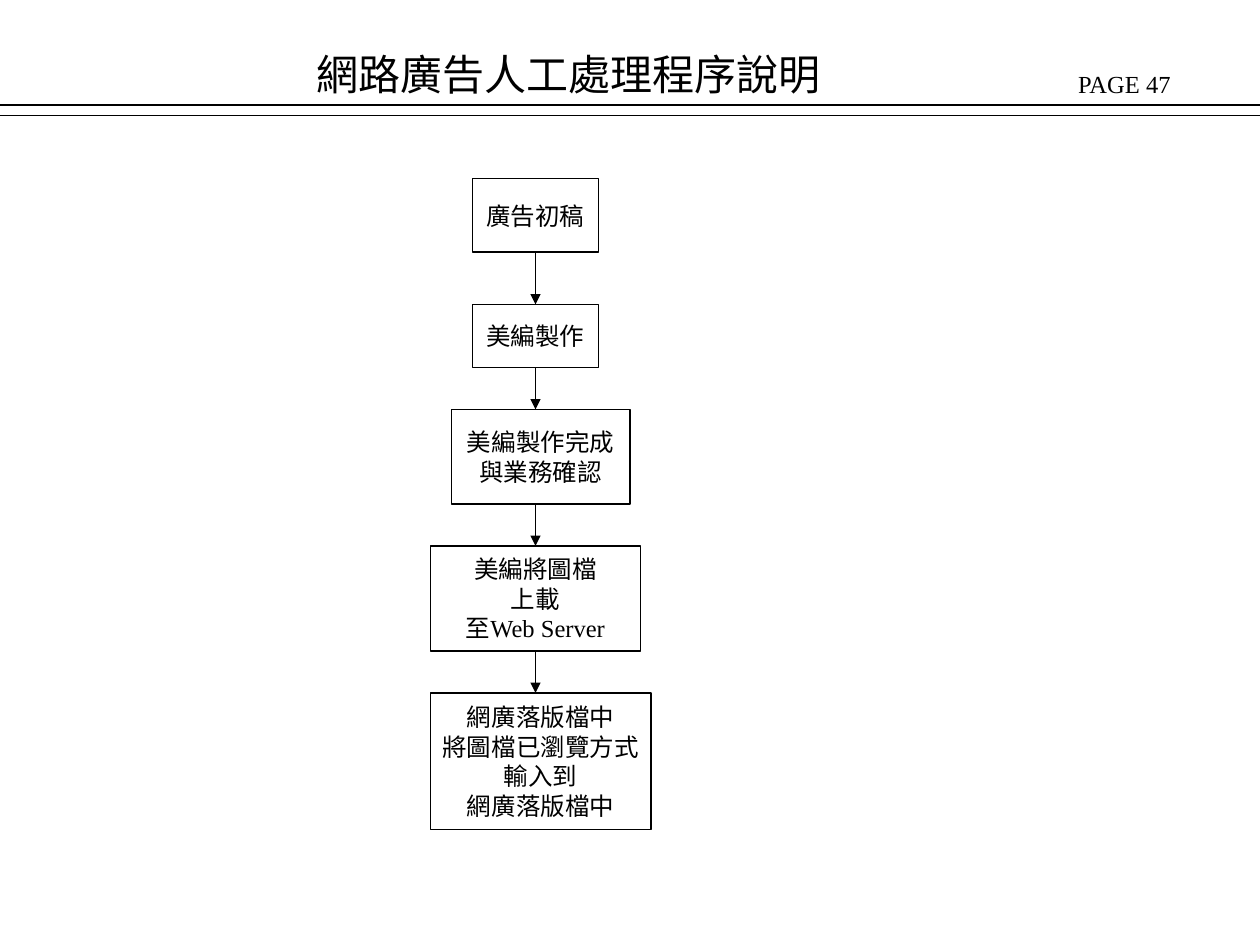
from itertools import pairwise

from lxml import etree
from pptx import Presentation
from pptx.dml.color import RGBColor
from pptx.enum import shapes, text
from pptx.oxml import ns
from pptx.util import Pt

BLACK = RGBColor(0, 0, 0)
FONT = "Times New Roman"
SLIDE_WIDTH, SLIDE_HEIGHT = 720, 540
FLOW_X = 306  # the arrows run down this line
TOP, BOTTOM = 0, 2  # connection sites of a rectangle

# left, top, width, height, lines of text
STEPS = [
    (270, 102, 72, 42, ["廣告初稿"]),
    (270, 174, 72, 36, ["美編製作"]),
    (258, 234, 102, 54, ["美編製作完成", "與業務確認"]),
    (246, 312, 120, 60, ["美編將圖檔", "上載", "至Web Server"]),
    (246, 396, 126, 78, ["網廣落版檔中", "將圖檔已瀏覽方式", "輸入到", "網廣落版檔中"]),
]


def write(frame, lines, size, align=text.PP_ALIGN.LEFT):
    frame.text = "\n".join(lines)
    for paragraph in frame.paragraphs:
        paragraph.alignment = align
        paragraph.font.name = FONT
        paragraph.font.size = Pt(size)
        paragraph.font.color.rgb = BLACK


def add_label(slide, left, top, width, height, words, size, wrap=True):
    label = slide.shapes.add_textbox(Pt(left), Pt(top), Pt(width), Pt(height))
    label.text_frame.word_wrap = wrap
    label.text_frame.auto_size = text.MSO_AUTO_SIZE.SHAPE_TO_FIT_TEXT
    write(label.text_frame, [words], size)


def add_step(slide, left, top, width, height, lines):
    step = slide.shapes.add_shape(
        shapes.MSO_SHAPE.RECTANGLE, Pt(left), Pt(top), Pt(width), Pt(height))
    step.shadow.inherit = False
    step.fill.background()
    step.line.color.rgb = BLACK
    step.line.width = Pt(0.75)
    frame = step.text_frame
    frame.word_wrap = False
    frame.vertical_anchor = text.MSO_ANCHOR.MIDDLE
    write(frame, lines, 14, text.PP_ALIGN.CENTER)
    return step


def add_line(slide, x1, y1, x2, y2):
    line = slide.shapes.add_connector(
        shapes.MSO_CONNECTOR.STRAIGHT, Pt(x1), Pt(y1), Pt(x2), Pt(y2))
    line.line.color.rgb = BLACK
    line.line.width = Pt(0.75)
    etree.SubElement(line._element.spPr, ns.qn("a:effectLst"))
    return line


def add_arrow(slide, upper, lower):
    """Lead from one step to the next, joined where the step is centred."""
    upper_bottom = upper.top + upper.height
    arrow = add_line(slide, FLOW_X, upper_bottom / Pt(1), FLOW_X, lower.top / Pt(1))
    etree.SubElement(arrow.line._get_or_add_ln(), ns.qn("a:tailEnd"), type="triangle")
    if upper.left + upper.width // 2 == Pt(FLOW_X):
        arrow.begin_connect(upper, BOTTOM)
    if lower.left + lower.width // 2 == Pt(FLOW_X):
        arrow.end_connect(lower, TOP)


def main():
    deck = Presentation()
    deck.slide_width, deck.slide_height = Pt(SLIDE_WIDTH), Pt(SLIDE_HEIGHT)
    slide = deck.slides.add_slide(deck.slide_layouts[6])

    # Header: page number, title and double rule
    add_label(slide, 609, 36, 113, 24.5, "PAGE 47", 14, wrap=False)
    add_label(slide, 174, 24, 354, 36, "網路廣告人工處理程序說明", 24)
    for y in (60, 66):
        add_line(slide, 0, y, SLIDE_WIDTH, y)

    # Flow chart
    steps = [add_step(slide, *step) for step in STEPS]
    for upper, lower in pairwise(steps):
        add_arrow(slide, upper, lower)

    deck.save("out.pptx")


if __name__ == "__main__":
    main()
